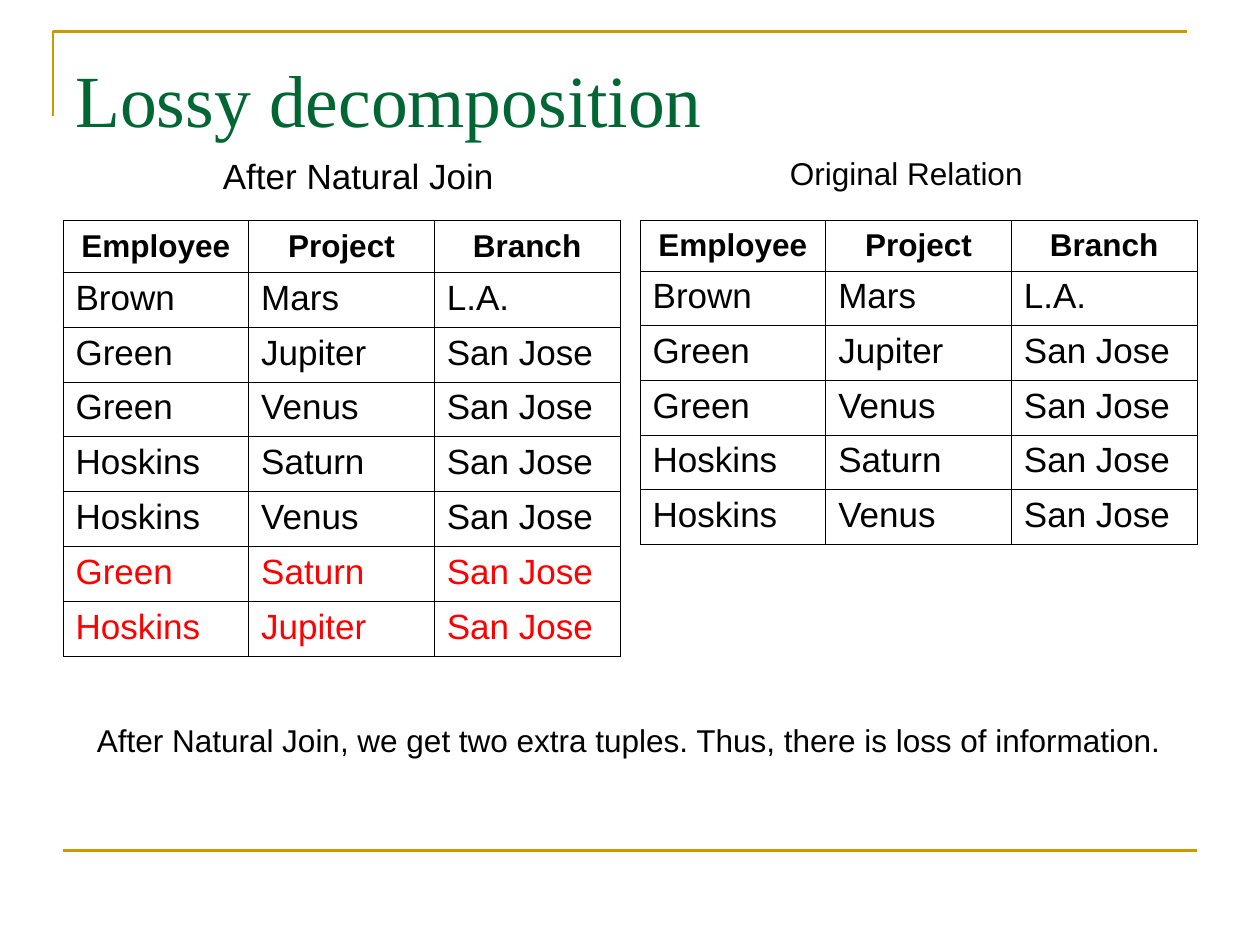
"""Builds the slide comparing a natural join with its original relation."""
from dataclasses import dataclass

from lxml.etree import SubElement
from pptx import Presentation
from pptx.dml.color import RGBColor
from pptx.enum.shapes import MSO_CONNECTOR
from pptx.enum.text import MSO_ANCHOR, PP_ALIGN
from pptx.oxml.ns import qn
from pptx.slide import Slide
from pptx.table import _Cell
from pptx.text.text import _Paragraph
from pptx.util import Inches, Pt

BLACK, RED, GREEN, GOLD = "000000", "FF0000", "006633", "CC9900"
HEADINGS = ("Employee", "Project", "Branch")
ORIGINAL_ROWS = (
    ("Brown", "Mars", "L.A."),
    ("Green", "Jupiter", "San Jose"),
    ("Green", "Venus", "San Jose"),
    ("Hoskins", "Saturn", "San Jose"),
    ("Hoskins", "Venus", "San Jose"),
)
EXTRA_ROWS = (
    ("Green", "Saturn", "San Jose"),
    ("Hoskins", "Jupiter", "San Jose"),
)


@dataclass(frozen=True)
class Label:
    """A single line of text and its box, in inches and points."""

    text: str
    left: float
    top: float
    width: float
    height: float
    size: float
    font: str = "Arial"
    color: str = BLACK
    inset_top: float = 0.05
    anchor: MSO_ANCHOR = MSO_ANCHOR.MIDDLE
    wrap: bool = False


@dataclass(frozen=True)
class Relation:
    """A relation table with optional extra tuples shown in red."""

    left: float
    height: float
    header_height: float
    extra_rows: tuple = ()


LABELS = (
    Label("Lossy decomposition", 0.5, 0.3, 9, 1.25, 42, "Times New Roman", GREEN,
          0.13, MSO_ANCHOR.TOP, True),
    Label("After Natural Join", 1.67, 1.17, 2.35, 0.44, 20),
    Label("Original Relation", 6.17, 1.17, 2.05, 0.4, 18),
    Label("After Natural Join, we get two extra tuples. "
          "Thus, there is loss of information.", 0.67, 5.67, 8.65, 0.4, 18),
)
RELATIONS = (
    Relation(0.5, 3.46, 0.41, EXTRA_ROWS),
    Relation(5.08, 2.57, 0.4),
)


def rgb(value: str) -> RGBColor:
    """Turn a hex string into a colour."""
    return RGBColor.from_string(value)


def add_span(para: _Paragraph, text: str, size: float, color: str = BLACK,
             font: str = "Arial", bold: bool = False) -> None:
    """Add one formatted run to a paragraph."""
    span = para.add_run()
    span.text = text
    span.font.name = font
    span.font.size = Pt(size)
    span.font.bold = bold
    span.font.color.rgb = rgb(color)


def add_label(page: Slide, label: Label) -> None:
    """Draw a text box."""
    box = page.shapes.add_textbox(Inches(label.left), Inches(label.top),
                                  Inches(label.width), Inches(label.height))
    frame = box.text_frame
    frame.word_wrap = label.wrap
    frame.vertical_anchor = label.anchor
    frame.margin_top = Inches(label.inset_top)
    add_span(frame.paragraphs[0], label.text, label.size, label.color, label.font)


def add_borders(cell: _Cell) -> None:
    """Give a cell thin black borders and no fill."""
    properties = cell._tc.get_or_add_tcPr()
    for side in ("a:lnL", "a:lnR", "a:lnT", "a:lnB"):
        border = SubElement(properties, qn(side), w=str(Pt(0.45)))
        fill = SubElement(border, qn("a:solidFill"))
        SubElement(fill, qn("a:srgbClr"), val=BLACK)
    cell.fill.background()


def add_relation(page: Slide, relation: Relation) -> None:
    """Draw a relation as a bordered table."""
    rows = (HEADINGS, *ORIGINAL_ROWS, *relation.extra_rows)
    table = page.shapes.add_table(len(rows), len(HEADINGS), Inches(relation.left), Inches(1.75),
                                  Inches(4.42), Inches(relation.height)).table
    table.first_row = table.horz_banding = False
    body_height = (relation.height - relation.header_height) / (len(rows) - 1)
    for row_index, row in enumerate(rows):
        is_header = row_index == 0
        table.rows[row_index].height = Inches(relation.header_height if is_header else body_height)
        color = RED if row_index > len(ORIGINAL_ROWS) else BLACK
        for column_index, text in enumerate(row):
            cell = table.cell(row_index, column_index)
            add_borders(cell)
            cell.vertical_anchor = MSO_ANCHOR.MIDDLE if is_header else MSO_ANCHOR.TOP
            para = cell.text_frame.paragraphs[0]
            para.alignment = PP_ALIGN.CENTER if is_header else PP_ALIGN.LEFT
            add_span(para, text, 18 if is_header else 20, color, bold=is_header)


def add_frame(page: Slide) -> None:
    """Draw the gold corner at the top and the gold rule at the bottom."""
    builder = page.shapes.build_freeform(Inches(0.42), Inches(0.92))
    builder.add_line_segments([(Inches(0.42), Inches(0.25)), (Inches(9.42), Inches(0.25))],
                              close=False)
    corner = builder.convert_to_shape()
    corner.shadow.inherit = False
    corner.fill.background()
    rule = page.shapes.add_connector(MSO_CONNECTOR.STRAIGHT, Inches(0.5), Inches(6.75),
                                     Inches(9.5), Inches(6.75))
    for shape in (corner, rule):
        shape.line.color.rgb = rgb(GOLD)
        shape.line.width = Pt(1.5)
    SubElement(rule._element.spPr, qn("a:effectLst"))


def main() -> None:
    """Build and save the deck."""
    deck = Presentation()
    deck.slide_width, deck.slide_height = Inches(10), Inches(7.5)
    page = deck.slides.add_slide(deck.slide_layouts[6])
    add_frame(page)
    title, *captions = LABELS
    add_label(page, title)
    for relation in RELATIONS:
        add_relation(page, relation)
    for caption in captions:
        add_label(page, caption)
    deck.save("out.pptx")


if __name__ == "__main__":
    main()
